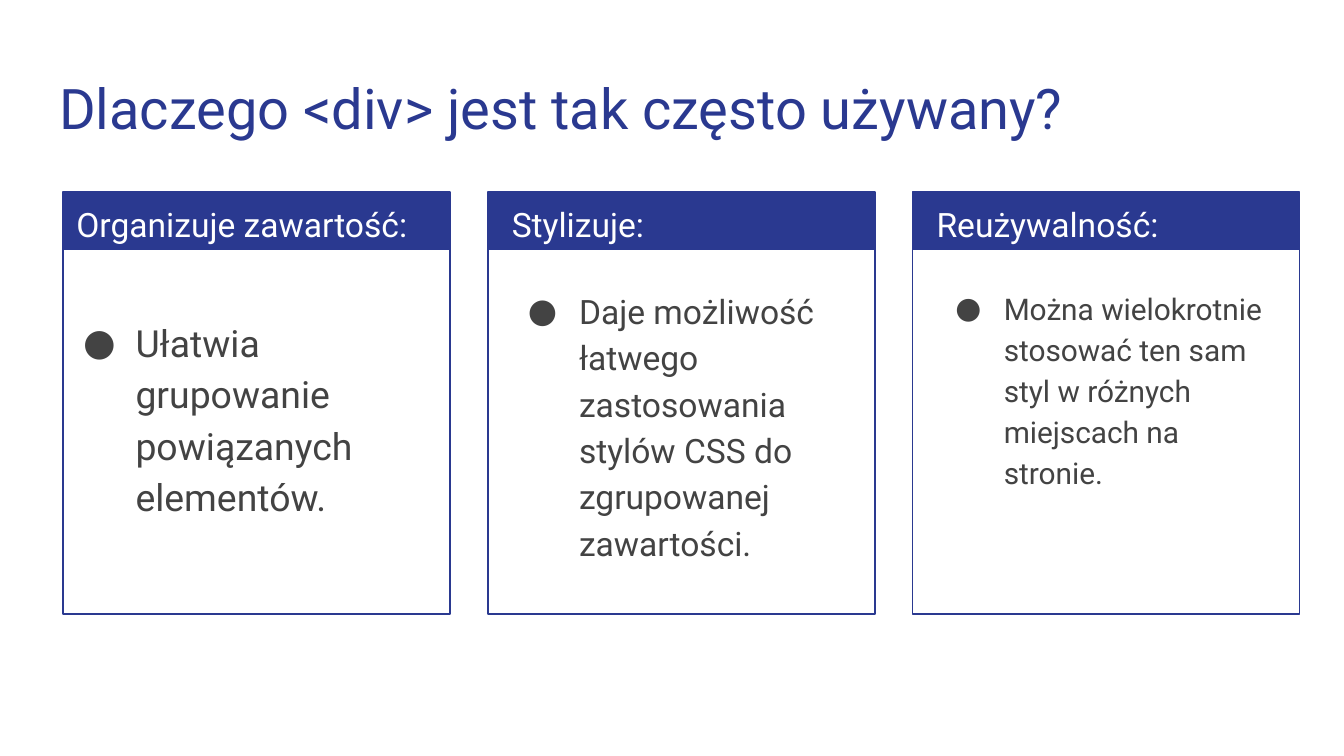
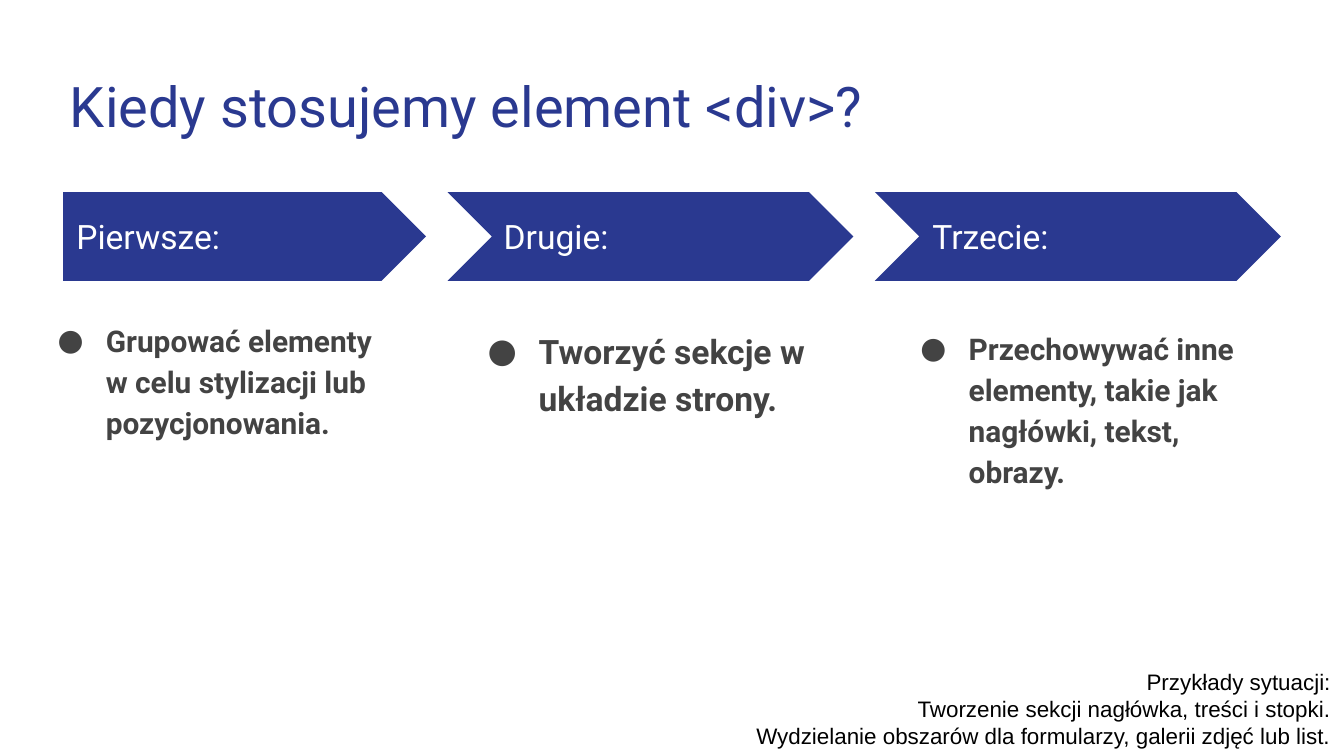
from dataclasses import dataclass

from lxml.etree import SubElement as Sub
from pptx import Presentation
from pptx.dml.color import RGBColor as Rgb
from pptx.enum.shapes import MSO_SHAPE as Kind
from pptx.enum.text import MSO_ANCHOR as Anchor, MSO_AUTO_SIZE as Fit, PP_ALIGN as Align
from pptx.oxml.ns import qn
from pptx.util import Pt


@dataclass(frozen=True)
class Theme:
    navy: str = "2A3990"
    gray: str = "434343"
    white: str = "FFFFFF"
    black: str = "000000"
    font: str = "Roboto"
    plain: str = "Arial"
    title: int = 30
    head: int = 18
    note: int = 12
    line: float = 0.75
    lead: float = 1.15


look = Theme()
PX = 4572
PAD = 20


def write(box, lines, size, color, font=look.font, bold=False, lead=None,
          hang=None, after=0, align=Align.LEFT, anchor=Anchor.TOP, fit=Fit.NONE):
    frame = box.text_frame
    frame.word_wrap = True
    frame.auto_size = fit
    frame.vertical_anchor = anchor
    frame.margin_left = frame.margin_right = PAD * PX
    frame.margin_top = frame.margin_bottom = PAD * PX
    for i, line in enumerate(lines):
        para = frame.add_paragraph() if i else frame.paragraphs[0]
        para.alignment = align
        para.space_after = Pt(after)
        if lead:
            para.line_spacing = lead
        if hang:
            props = para._p.get_or_add_pPr()
            props.set("marL", str(100 * PX))
            props.set("indent", str(-hang * PX))
            tint = Sub(Sub(props, qn("a:buClr")), qn("a:srgbClr"))
            tint.set("val", color)
            Sub(props, qn("a:buFont")).set("typeface", font)
            Sub(props, qn("a:buChar")).set("char", "●")
        run = para.add_run()
        run.text = line
        run.font.name = font
        run.font.size = Pt(size)
        run.font.bold = bold
        run.font.color.rgb = Rgb.from_string(color)


def draw(slide, kind, rect, fill=None, line=None):
    shape = slide.shapes.add_shape(kind, *(n * PX for n in rect))
    shape.shadow.inherit = False
    if fill:
        shape.fill.solid()
        shape.fill.fore_color.rgb = Rgb.from_string(fill)
    else:
        shape.fill.background()
    if line:
        shape.line.color.rgb = Rgb.from_string(line)
        shape.line.width = Pt(look.line)
    else:
        shape.line.fill.background()


deck = Presentation()
deck.slide_width, deck.slide_height = 2000 * PX, 1125 * PX

slides = []
for text, left, top in [
    ("Dlaczego <div> jest tak często używany?", 68, 90),
    ("Kiedy stosujemy element <div>?", 84, 86),
]:
    slide = deck.slides.add_slide(deck.slide_layouts[5])
    name = slide.shapes.title
    name.left, name.top, name.width, name.height = (n * PX for n in (left, top, 1864, 132))
    write(name, [text], look.title, look.navy)
    slides.append(slide)

why, when = slides

cards = [
    ("Organizuje zawartość:", (94, 274, 546, 80),
     "Ułatwia grupowanie powiązanych elementów.", (82, 446, 604, 436), 20, 78),
    ("Stylizuje:", (742, 274, 546, 100),
     "Daje możliwość łatwego zastosowania stylów CSS do zgrupowanej zawartości.",
     (742, 404, 542, 612), 18, 76),
    ("Reużywalność:", (1374, 274, 546, 100),
     "Można wielokrotnie stosować ten sam styl w różnych miejscach na stronie.",
     (1374, 404, 542, 612), 16, 72),
]
for i, (head, spot, body, area, size, hang) in enumerate(cards):
    left = 94 + 632 * i
    draw(why, Kind.RECTANGLE, (left, 286, 576, 86), fill=look.navy)
    draw(why, Kind.RECTANGLE, (left, 286, 576, 628), line=look.navy)
    box = why.shapes.add_textbox(*(n * PX for n in spot))
    write(box, [head], look.head, look.white, lead=look.lead)
    box = why.shapes.add_textbox(*(n * PX for n in area))
    write(box, [body], size, look.gray, lead=look.lead, hang=hang)

steps = [
    (Kind.PENTAGON, 94, 540, "Pierwsze:", 94,
     "Grupować elementy w celu stylizacji lub pozycjonowania.", 38, 452, 16, 72, 0),
    (Kind.CHEVRON, 666, 604, "Drugie:", 730,
     "Tworzyć sekcje w układzie strony.", 682, 464, 18, 76, 8),
    (Kind.CHEVRON, 1302, 604, "Trzecie:", 1368,
     "Przechowywać inne elementy, takie jak nagłówki, tekst, obrazy.",
     1322, 464, 16, 72, 0),
]
for kind, left, width, head, start, body, x, y, size, hang, after in steps:
    draw(when, kind, (left, 286, width, 132), fill=look.navy)
    box = when.shapes.add_textbox(*(n * PX for n in (start, 318, 494, 68)))
    write(box, [head], look.head, look.white, anchor=Anchor.MIDDLE)
    box = when.shapes.add_textbox(*(n * PX for n in (x, y, 540, 580)))
    write(box, [body], size, look.gray, bold=True, lead=look.lead, hang=hang, after=after)

note = when.shapes.add_textbox(*(n * PX for n in (558, 974, 1442, 162)))
write(note, [
    "Przykłady sytuacji:",
    "Tworzenie sekcji nagłówka, treści i stopki.",
    "Wydzielanie obszarów dla formularzy, galerii zdjęć lub list.",
], look.note, look.black, font=look.plain, align=Align.RIGHT, fit=Fit.SHAPE_TO_FIT_TEXT)

deck.save("out.pptx")
